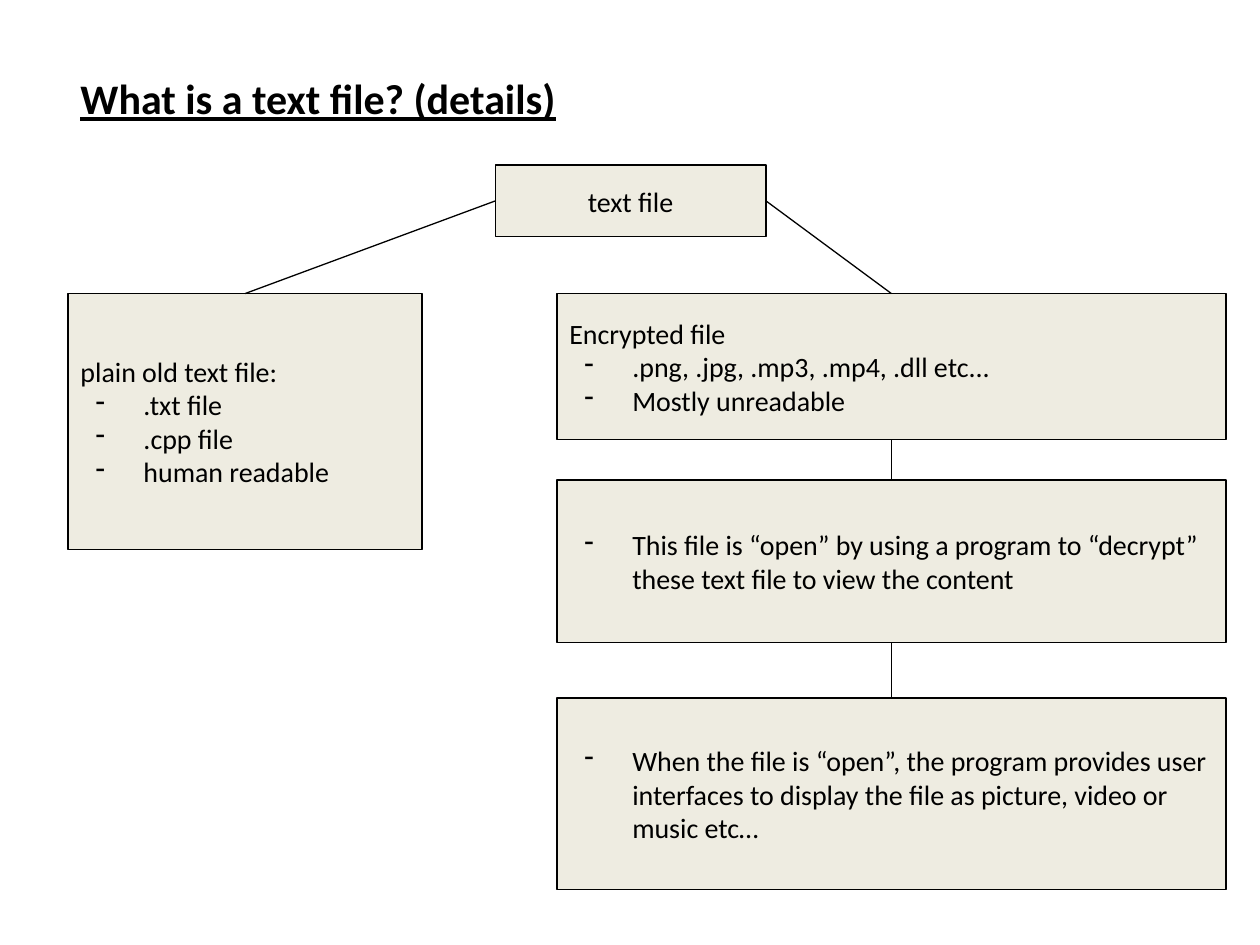
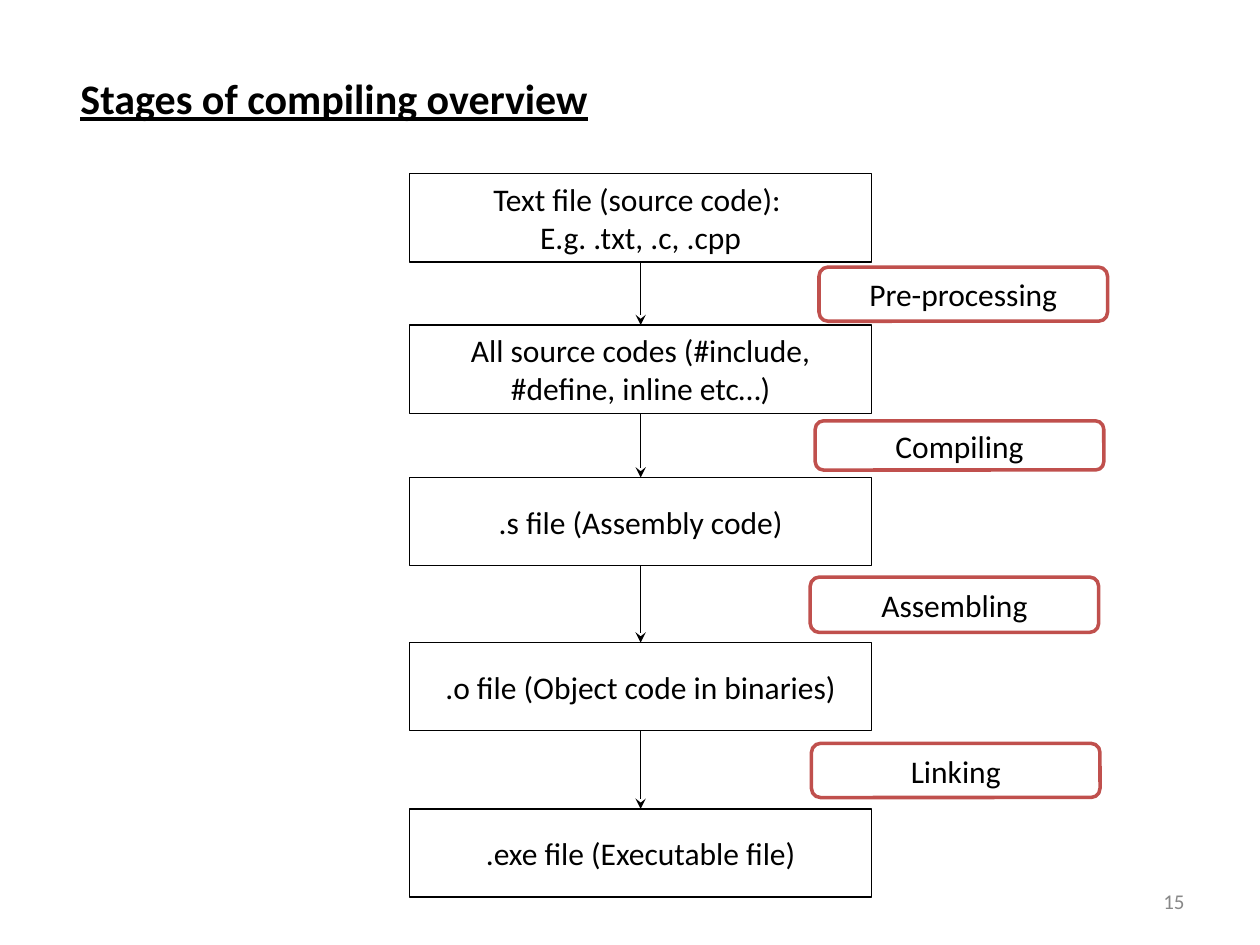
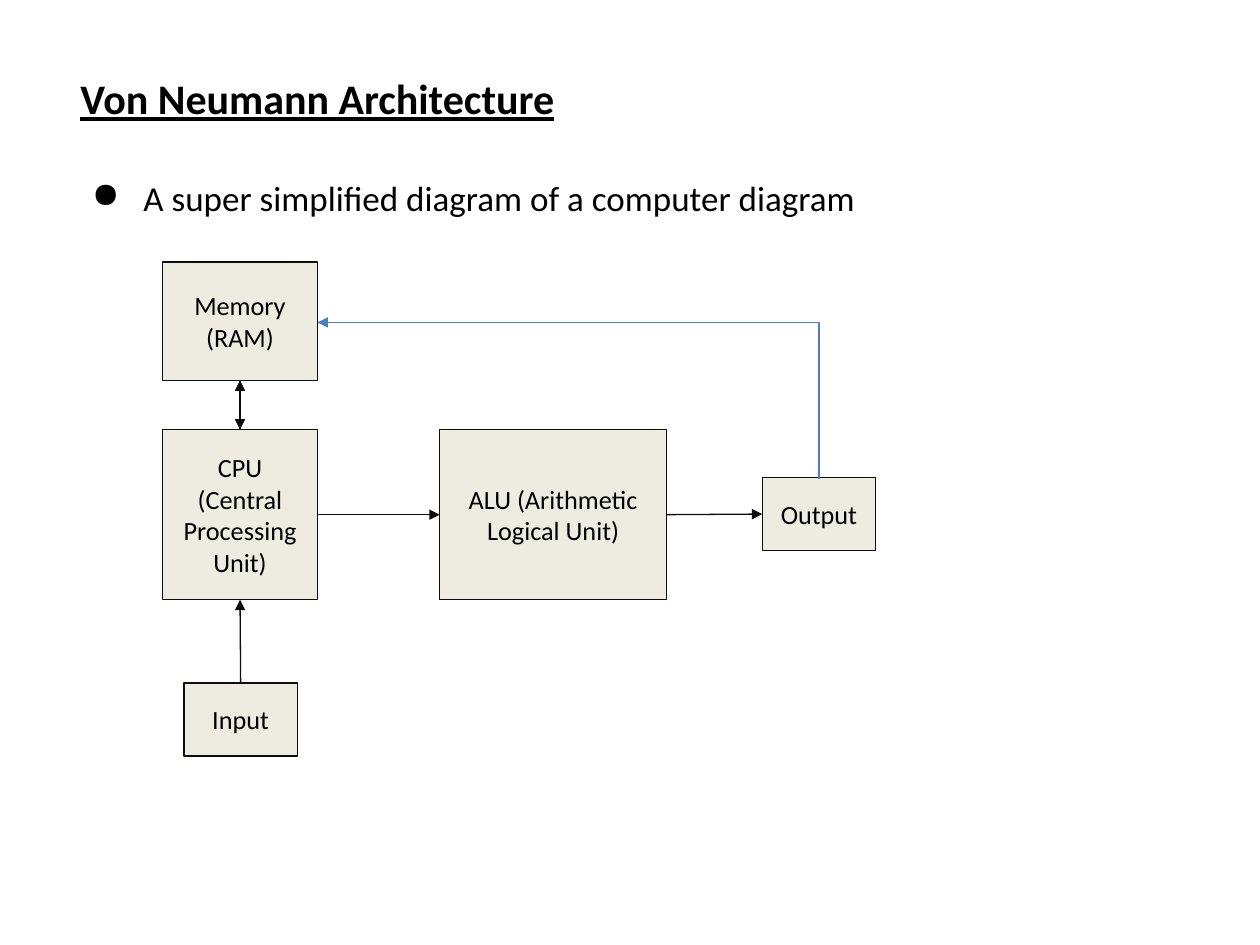
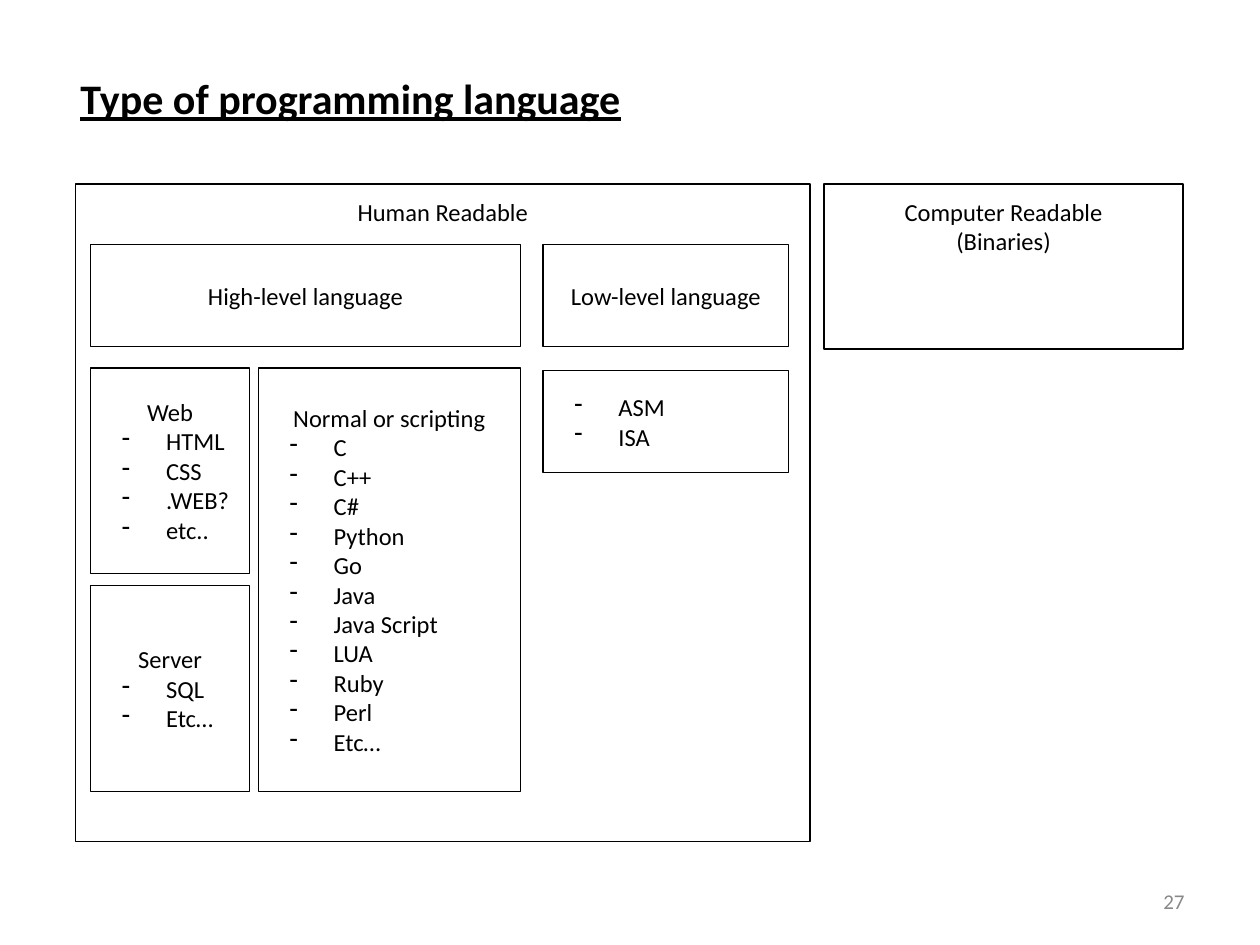
from pptx import Presentation
from pptx.dml.color import RGBColor
from pptx.enum.shapes import MSO_CONNECTOR, MSO_SHAPE
from pptx.enum.text import MSO_ANCHOR, PP_ALIGN
from pptx.oxml.ns import qn
from pptx.util import Inches, Pt
from lxml.etree import SubElement


class Theme:
    font = "Calibri"
    black, ink, grey = "000000", "0D0D0D", "888888"
    white, sand, red, blue = "FFFFFF", "EEECE1", "C0504D", "4B7EBC"
    title, lead, step, body, unit, small, foot = 24, 20, 18, 16, 15, 14, 12
    thin, thick = 0.75, 2
    hang = {20: 0.41, 16: 0.38, 14: 0.35}  # bullet indent by type size


LEFT, MID, RIGHT = PP_ALIGN.LEFT, PP_ALIGN.CENTER, PP_ALIGN.RIGHT
RECT, ROUND = MSO_SHAPE.RECTANGLE, MSO_SHAPE.ROUNDED_RECTANGLE
TOP, WEST, BASE, EAST = range(4)


def box(page, at, text, size, form=RECT, fill=None, line=Theme.black,
        wide=Theme.thin, color=Theme.black, align=MID,
        anchor=MSO_ANCHOR.MIDDLE, pad=0.1):
    """Add a shape, or a text box if form is None; "- " and "● " start bullets."""
    place = [Inches(n) for n in at]
    if form is None:
        shape = page.shapes.add_textbox(*place)
    else:
        shape = page.shapes.add_shape(form, *place)
        shape.shadow.inherit = False
        shape.line.color.rgb = RGBColor.from_string(line)
        shape.line.width = Pt(wide)
        if fill:
            shape.fill.solid()
            shape.fill.fore_color.rgb = RGBColor.from_string(fill)
        else:
            shape.fill.background()
    frame = shape.text_frame
    frame.word_wrap = True
    frame.vertical_anchor = anchor
    frame.margin_left = frame.margin_right = Inches(0.1)
    frame.margin_top = frame.margin_bottom = Inches(pad)
    for i, row in enumerate(text.split("\n")):
        para = frame.add_paragraph() if i else frame.paragraphs[0]
        para.alignment = align
        if row[:2] in ("- ", "● "):
            para.alignment = LEFT
            props = para._p.get_or_add_pPr()
            props.set("marL", str(Inches(0.5)))
            props.set("indent", str(-Inches(Theme.hang[size])))
            tint = SubElement(props, qn("a:buClr"))
            SubElement(tint, qn("a:srgbClr"), val=Theme.black)
            SubElement(props, qn("a:buChar"), char=row[0])
            row = row[2:]
        para.add_run().text = row
        para.font.name = Theme.font
        para.font.size = Pt(size)
        para.font.color.rgb = RGBColor.from_string(color)
    return shape


def join(page, one, out, two, into, color=Theme.black, tip=None,
         kind=MSO_CONNECTOR.STRAIGHT):
    """Connect side `out` of one shape to side `into` of another."""
    wire = page.shapes.add_connector(kind, 0, 0, 0, 0)
    wire.begin_connect(one, out)
    wire.end_connect(two, into)
    wire.line.color.rgb = RGBColor.from_string(color)
    wire.line.width = Pt(Theme.thin)
    if tip:
        SubElement(wire.line._get_or_add_ln(), qn("a:tailEnd"), type=tip)
    SubElement(wire._element.spPr, qn("a:effectLst"))
    return wire


deck = Presentation()
deck.slide_width, deck.slide_height = Inches(10), Inches(7.5)

# Titles and page numbers
pages = []
for title, high, number in [
    ("What is a text file? (details)", 0.65, None),
    ("Stages of compiling overview", 0.61, "15"),
    ("Von Neumann Architecture", 0.94, None),
    ("Type of programming language", 0.67, "27"),
]:
    page = deck.slides.add_slide(deck.slide_layouts[6])
    head = box(page, (0.54, 0.53, 9.12, high), title, Theme.title, form=None,
               align=LEFT, anchor=MSO_ANCHOR.TOP, pad=0.05)
    font = head.text_frame.paragraphs[0].font
    font.bold = font.underline = True
    if number:
        box(page, (7.17, 6.95, 2.33, 0.4), number, Theme.foot, form=None,
            color=Theme.grey, align=RIGHT, pad=0.05)
    pages.append(page)
files, stages, parts, types = pages

# Slide 1: kinds of text file
root = box(files, (3.93, 1.31, 2.15, 0.57), "text file", Theme.body,
           fill=Theme.sand)
plain = box(files, (0.54, 2.33, 2.81, 2.03),
            "plain old text file:\n- .txt file\n- .cpp file\n- human readable",
            Theme.body, fill=Theme.sand, align=LEFT)
join(files, root, WEST, plain, TOP)
last, side = root, EAST
for top, high, text in [
    (2.33, 1.16, "Encrypted file\n- .png, .jpg, .mp3, .mp4, .dll etc...\n"
                 "- Mostly unreadable"),
    (3.81, 1.29, "- This file is “open” by using a program to “decrypt” "
                 "these text file to view the content"),
    (5.54, 1.52, "- When the file is “open”, the program provides user "
                 "interfaces to display the file as picture, video or "
                 "music etc…"),
]:
    card = box(files, (4.42, top, 5.31, high), text, Theme.body,
               fill=Theme.sand, align=LEFT)
    join(files, last, side, card, TOP)
    last, side = card, BASE

# Slide 2: files from source to program, and the stages between them
last = None
for top, text in [
    (1.38, "Text file (source code): \nE.g. .txt, .c, .cpp"),
    (2.58, "All source codes (#include, #define, inline etc…)"),
    (3.79, ".s file (Assembly code)"),
    (5.1, ".o file (Object code in binaries)"),
    (6.42, ".exe file (Executable file)"),
]:
    step = box(stages, (3.25, top, 3.67, 0.7), text, Theme.step,
               fill=Theme.white, pad=0.05)
    if last:
        join(stages, last, BASE, step, TOP, tip="stealth")
    last = step
for left, top, high, text in [
    (6.5, 2.12, 0.43, "Pre-processing"),
    (6.47, 3.34, 0.39, "Compiling"),
    (6.43, 4.58, 0.44, "Assembling"),
    (6.44, 5.9, 0.43, "Linking"),
]:
    box(stages, (left, top, 2.29, high), text, Theme.step, form=ROUND,
        fill=Theme.white, line=Theme.red, wide=Theme.thick, pad=0.05)

# Slide 3: parts of a computer
box(parts, (0.54, 1.35, 9.12, 0.58),
    "● A super simplified diagram of a computer diagram", Theme.lead,
    form=None, anchor=MSO_ANCHOR.TOP, pad=0.05)
ram, cpu, alu, feed, show = [
    box(parts, at, text, Theme.unit, fill=Theme.sand, line=Theme.ink)
    for at, text in [
        ((1.29, 2.08, 1.23, 0.94), "Memory\n(RAM)"),
        ((1.29, 3.41, 1.23, 1.35), "CPU (Central Processing Unit)"),
        ((3.49, 3.41, 1.8, 1.35), "ALU (Arithmetic Logical Unit)"),
        ((1.46, 5.42, 0.9, 0.58), "Input"),
        ((6.05, 3.79, 0.9, 0.58), "Output"),
    ]
]
for one, out, two, into in [
    (ram, BASE, cpu, TOP),
    (cpu, TOP, ram, BASE),
    (cpu, EAST, alu, WEST),
    (feed, TOP, cpu, BASE),
    (alu, EAST, show, WEST),
]:
    join(parts, one, out, two, into, color=Theme.ink, tip="triangle")

# One-corner elbow from output back to memory
loop = join(parts, show, TOP, ram, EAST, color=Theme.blue, tip="triangle",
            kind=MSO_CONNECTOR.ELBOW)
loop.left, loop.top, loop.width, loop.height = [
    Inches(n) for n in (3.89, 1.19, 1.24, 3.98)]
spot = loop._element.spPr.find(qn("a:xfrm"))
for key, val in [("rot", "16200000"), ("flipH", "0"), ("flipV", "1")]:
    spot.set(key, val)
loop._element.spPr.find(qn("a:prstGeom")).set("prst", "bentConnector2")

# Slide 4: language groups
for at, text in [
    ((0.6, 1.46, 5.83, 5.22), "Human Readable"),
    ((6.54, 1.46, 2.85, 1.31), "Computer Readable\n(Binaries)"),
]:
    box(types, at, text, Theme.small, anchor=MSO_ANCHOR.TOP)
for at, text in [
    ((0.72, 1.94, 3.41, 0.81), "High-level language"),
    ((4.31, 1.94, 1.95, 0.81), "Low-level language"),
    ((0.72, 2.92, 1.26, 1.63), "Web\n- HTML\n- CSS\n- .WEB?\n- etc.."),
    ((0.72, 4.65, 1.26, 1.63), "Server\n- SQL\n- Etc…"),
    ((2.05, 2.92, 2.08, 3.36),
     "Normal or scripting\n- C\n- C++\n- C#\n- Python\n- Go\n- Java\n"
     "- Java Script\n- LUA\n- Ruby\n- Perl\n- Etc…"),
    ((4.31, 2.94, 1.95, 0.81), "- ASM\n- ISA"),
]:
    box(types, at, text, Theme.small)

deck.save("out.pptx")
